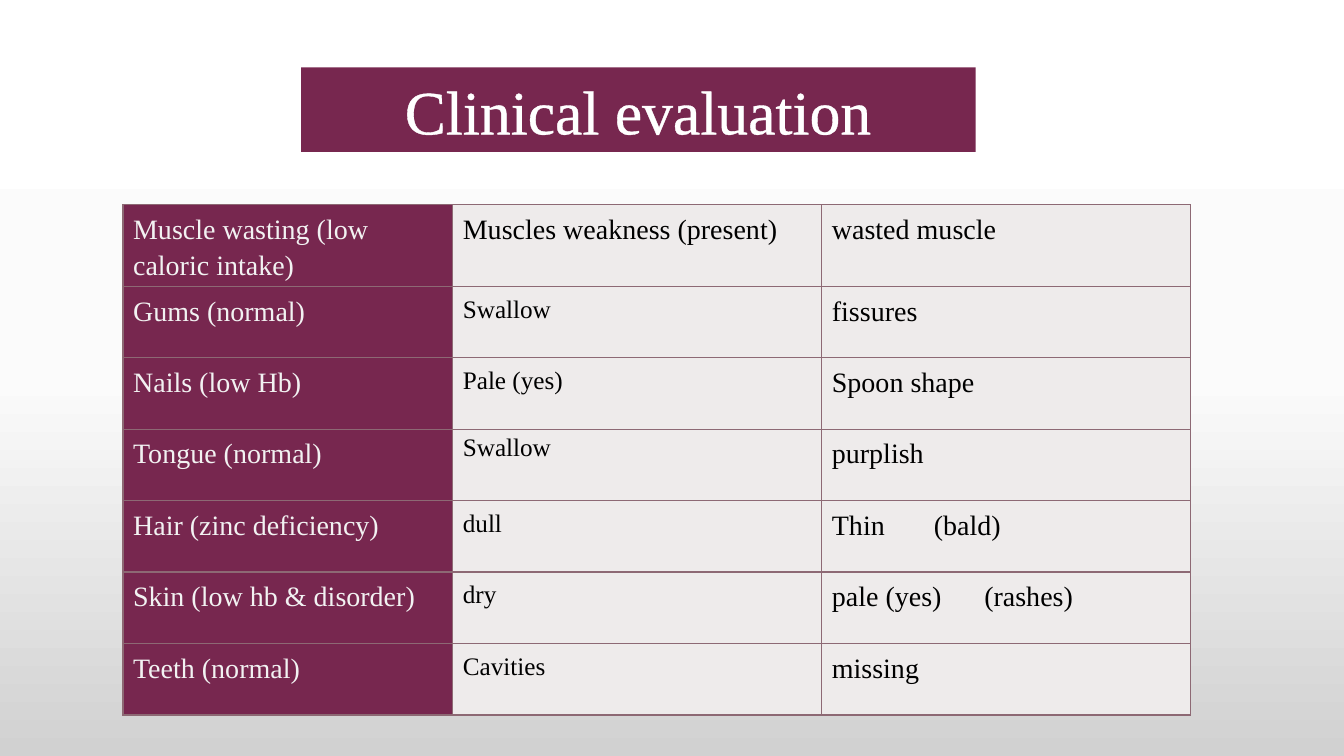
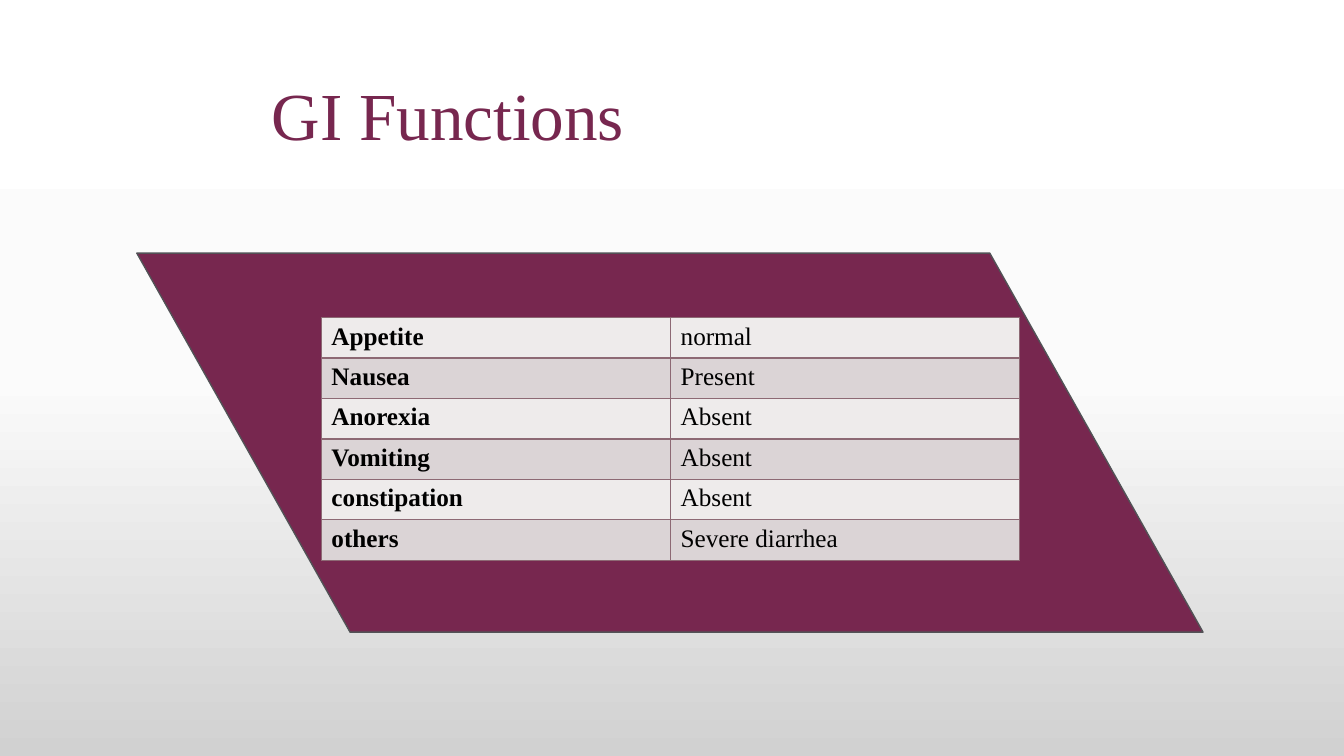
from copy import deepcopy
from dataclasses import dataclass, replace

from lxml.etree import SubElement
from pptx import Presentation
from pptx.dml.color import RGBColor
from pptx.enum.shapes import MSO_SHAPE as Shape
from pptx.enum.text import MSO_ANCHOR as Anchor, PP_ALIGN as Align
from pptx.oxml import parse_xml
from pptx.oxml.ns import nsdecls, qn
from pptx.util import Cm, Pt

PLUM = RGBColor(0x77, 0x27, 0x4F)
MAUVE = RGBColor(0x8D, 0x69, 0x74)
SLATE = RGBColor(0x52, 0x52, 0x56)
PALE = RGBColor(0xEE, 0xEB, 0xEB)
BAND = RGBColor(0xDB, 0xD4, 0xD6)
MIST = RGBColor(0xF2, 0xF2, 0xF2)
WHITE = RGBColor(0xFF, 0xFF, 0xFF)
BLACK = RGBColor(0x00, 0x00, 0x00)
BACKDROP = [(0, WHITE), (0.5, RGBColor(0xFB, 0xFB, 0xFB)), (1, RGBColor(0xD1, 0xD1, 0xD1))]
FONT = "Times New Roman"

CLINICAL_ROWS = [
    ("Muscle wasting (low caloric intake)", "Muscles weakness (present)", "wasted muscle"),
    ("Gums (normal)", "Swallow", "fissures"),
    ("Nails (low Hb)", "Pale (yes)", "Spoon shape"),
    ("Tongue (normal)", "Swallow", "purplish"),
    ("Hair (zinc deficiency)", "dull", "Thin\t(bald)"),
    ("Skin (low hb & disorder)", "dry", "pale (yes)\t(rashes)"),
    ("Teeth (normal)", "Cavities", "missing"),
]
GI_ROWS = [
    ("Appetite", "normal"),
    ("Nausea", "Present"),
    ("Anorexia", "Absent"),
    ("Vomiting", "Absent"),
    ("constipation", "Absent"),
    ("others", "Severe diarrhea"),
]


@dataclass(frozen=True)
class CellStyle:
    size: int = 18
    color: RGBColor = BLACK
    fill: RGBColor = PALE
    bold: bool = False
    spacing: float = 1.0
    after: int = 0
    tab: float = 0


def line_xml(tag, color, width):
    return parse_xml(
        f'<a:{tag} {nsdecls("a")} w="{Pt(width)}"><a:solidFill>'
        f'<a:srgbClr val="{color}"/></a:solidFill></a:{tag}>'
    )


class Pages:
    def __init__(self):
        self.deck = Presentation()
        self.deck.slide_width, self.deck.slide_height = Cm(33.87), Cm(19.05)
        self.page = None
        self.paint_backdrop()

    def paint_backdrop(self):
        master = self.deck.slide_master
        fill = master.background.fill
        fill.gradient()
        fill.gradient_angle = 270
        stop_list = master.element.xpath(".//p:bg//a:gsLst")[0]
        stop_list.append(deepcopy(stop_list[-1]))
        for stop, (position, color) in zip(fill.gradient_stops, BACKDROP):
            stop.position = position
            stop.color.rgb = color

    def add_page(self):
        self.page = self.deck.slides.add_slide(self.deck.slide_layouts[5])

    def style_font(self, font, size, color, bold=False):
        font.name, font.size, font.bold = FONT, Pt(size), bold
        font.color.rgb = color

    def title(self, text, left, width, height, size, color, fill=None, outline=0):
        box = self.page.shapes.title
        box.left, box.top, box.width, box.height = Cm(left), Cm(1.7), Cm(width), Cm(height)
        if fill is not None:
            box.fill.solid()
            box.fill.fore_color.rgb = fill
        frame = box.text_frame
        frame.text = text
        frame.word_wrap = True
        frame.vertical_anchor = Anchor.MIDDLE
        para = frame.paragraphs[0]
        para.alignment = Align.CENTER
        span = para.runs[0]
        self.style_font(span.font, size, color)
        if outline:
            span.font.fill.solid()
            span.font.color.rgb = color
            span.font._element.insert(0, line_xml("ln", color, outline))

    def slanted_panel(self, left, top, width, height):
        panel = self.page.shapes.add_shape(
            Shape.FLOWCHART_DATA, Cm(left), Cm(top), Cm(width), Cm(height)
        )
        panel.shadow.inherit = False
        panel.fill.solid()
        panel.fill.fore_color.rgb = PLUM
        panel.line.color.rgb = SLATE
        panel.line.width = Pt(1)
        panel.element.xpath(".//a:xfrm")[0].set("flipH", "1")

    def table(self, rows, left, top, widths, row_height, style_at):
        table = self.page.shapes.add_table(
            len(rows), len(widths), Cm(left), Cm(top),
            Cm(sum(widths)), Cm(row_height * len(rows)),
        ).table
        table.first_row = table.horz_banding = False
        for column, width in zip(table.columns, widths):
            column.width = Cm(width)
        for row_index, row in enumerate(rows):
            table.rows[row_index].height = Cm(row_height)
            for column_index, text in enumerate(row):
                cell = table.cell(row_index, column_index)
                self.fill_cell(cell, text, style_at(row_index, column_index))

    def fill_cell(self, cell, text, style):
        cell.fill.solid()
        cell.fill.fore_color.rgb = style.fill
        properties = cell._tc.get_or_add_tcPr()
        for index, side in enumerate(("lnL", "lnR", "lnT", "lnB")):
            properties.insert(index, line_xml(side, MAUVE, 1))
        para = cell.text_frame.paragraphs[0]
        para.text = text
        if style.tab:
            tabs = SubElement(para._p.get_or_add_pPr(), qn("a:tabLst"))
            SubElement(tabs, qn("a:tab"), pos=str(Cm(style.tab)), algn="l")
        para.line_spacing = style.spacing
        para.space_after = Pt(style.after)
        for span in para.runs:
            self.style_font(span.font, style.size, style.color, style.bold)


def clinical_style(row, column):
    style = CellStyle(size=20, spacing=1.15, after=10)
    if column == 0:
        return replace(style, color=MIST, fill=PLUM)
    if column == 2:
        return replace(style, tab={4: 2.57, 5: 3.84}.get(row, 0))
    if row == 3:
        return CellStyle()
    return style if row == 0 else replace(style, size=18)


def gi_style(row, column):
    return CellStyle(fill=BAND if row % 2 else PALE, bold=column == 0)


def main():
    pages = Pages()

    pages.add_page()
    pages.title("Clinical evaluation", 7.59, 17, 2.13, 44, WHITE, fill=PLUM, outline=1.45)
    pages.table(CLINICAL_ROWS, 3.1, 5.16, [8.31, 9.3, 9.3], 1.8, clinical_style)

    pages.add_page()
    pages.title("GI Functions", 0.99, 20.6, 2.31, 48, PLUM)
    pages.slanted_panel(3.45, 6.38, 26.87, 9.55)
    pages.table(GI_ROWS, 8.1, 8, [8.8, 8.8], 1.02, gi_style)

    pages.deck.save("out.pptx")


if __name__ == "__main__":
    main()
